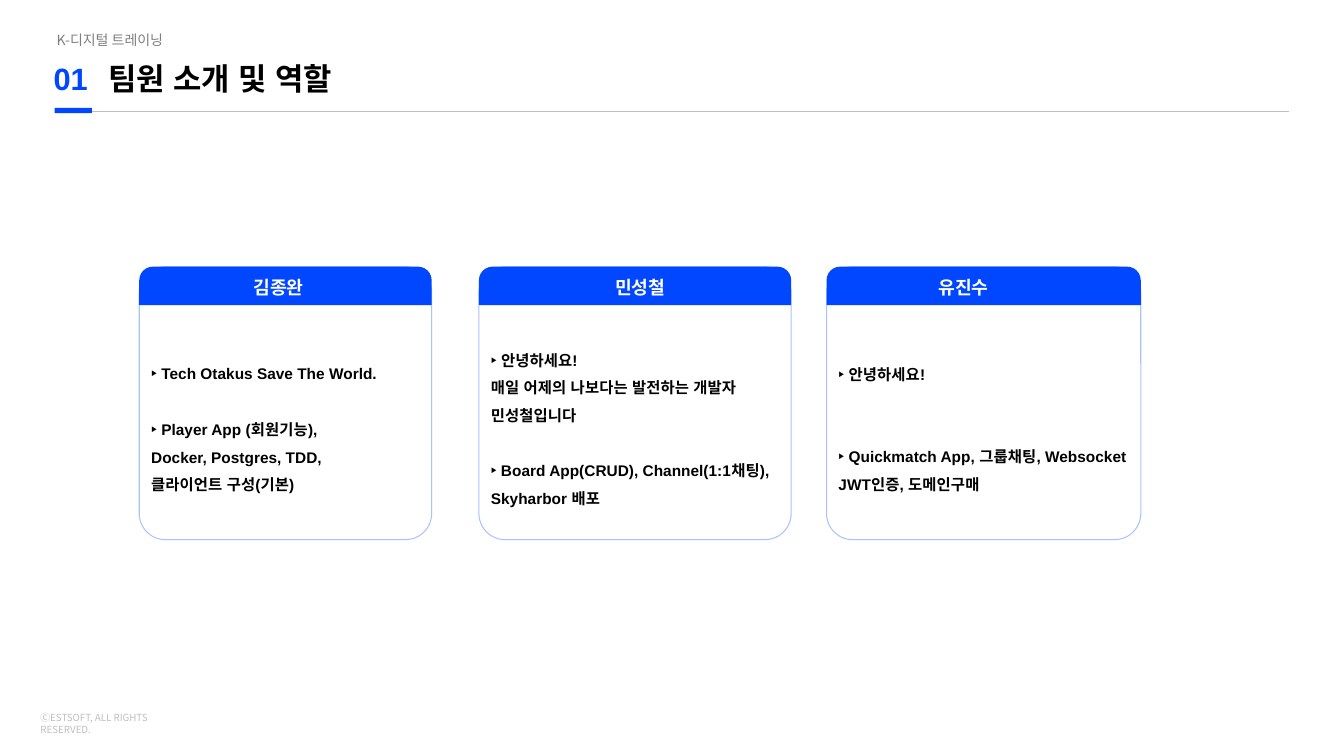
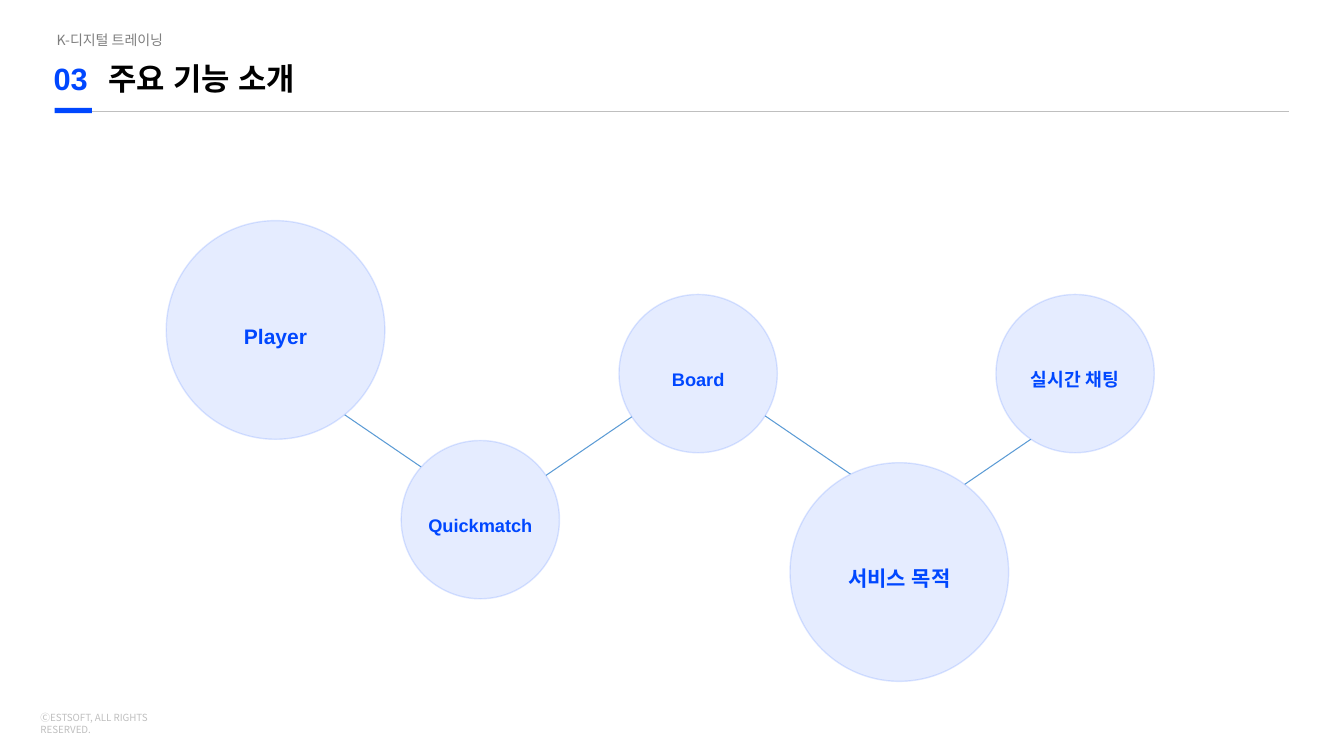
from lxml import etree
from pptx import Presentation
from pptx.dml.color import RGBColor
from pptx.enum.shapes import MSO_CONNECTOR, MSO_SHAPE
from pptx.enum.text import MSO_ANCHOR, MSO_AUTO_SIZE, PP_ALIGN
from pptx.oxml.ns import qn
from pptx.util import Cm, Pt

LEFT, CENTER = PP_ALIGN.LEFT, PP_ALIGN.CENTER
TOP, MIDDLE = MSO_ANCHOR.TOP, MSO_ANCHOR.MIDDLE
RECT, OVAL = MSO_SHAPE.RECTANGLE, MSO_SHAPE.OVAL
ROUND, ROUND_TOP = MSO_SHAPE.ROUNDED_RECTANGLE, MSO_SHAPE.ROUND_2_SAME_RECTANGLE
STRAIGHT = MSO_CONNECTOR.STRAIGHT
NO_AUTOFIT = MSO_AUTO_SIZE.NONE

COLORS = {
    "blue": "0047FF", "pale": "E5ECFF", "link": "5B9BD5", "black": "000000",
    "white": "FFFFFF", "label": "7F7F7F", "light": "BFBFBF",
}
HEAD_FONT, KOREAN_FONT = "Arial", "Noto Sans CJK KR"
COMPARISON_LAYOUT, TITLE_LAYOUT = 4, 5
BLANK_LINE = 19.7  # points, one line of card text
NBSP = chr(160)  # keeps words on one line

CARD_TOP, CARD_HEIGHT, CARD_HEAD = 6.72, 6.88, 0.97
NAME_WIDTH = 4.6
# left, width, centre of the name, name, [(line, blank lines before it)]
CARDS = [
    (3.51, 7.37, 7.02, "김종완", [
        ("‣ Tech Otakus Save The World.", 0),
        (f"‣ Player App (회원기능), Docker,{NBSP}Postgres,{NBSP}TDD, "
         f"클라이언트{NBSP}구성(기본)", 1)]),
    (12.07, 7.87, 16.13, "민성철", [
        ("‣ 안녕하세요!", 0),
        ("매일 어제의 나보다는 발전하는 개발자 민성철입니다", 0),
        ("‣ Board App(CRUD), Channel(1:1채팅), Skyharbor 배포", 1)]),
    (20.83, 7.92, 24.28, "유진수", [
        ("‣ 안녕하세요!", 0),
        ("‣ Quickmatch App, 그룹채팅, Websocket JWT인증, 도메인구매", 2)]),
]

LARGE, SMALL = (5.51, 15), (3.99, 13)  # diameter, text size
FEATURES = [
    (4.19, 5.56, LARGE, "Player"),
    (10.11, 11.1, SMALL, "Quickmatch"),
    (15.6, 7.42, SMALL, "Board"),
    (19.91, 11.66, LARGE, "서비스 목적"),
    (25.1, 7.42, SMALL, "실시간 채팅"),
]
LINK_STARTS = [(7.32, 9.52), (12.22, 13.03), (17.7, 9.4), (22.81, 13.23)]
LINK_RUN, LINK_RISE = 5.1, 3.48


def rgb(name):
    return RGBColor.from_string(COLORS[name])


def place(shape, left, top, width, height):
    shape.left, shape.top = Cm(left), Cm(top)
    shape.width, shape.height = Cm(width), Cm(height)


def format_frame(frame, anchor):
    frame.auto_size = NO_AUTOFIT
    frame.word_wrap = True
    frame.vertical_anchor = anchor
    frame.margin_left = frame.margin_right = Cm(0.25)
    frame.margin_top = frame.margin_bottom = Cm(0.13)


def format_paragraph(paragraph, size, color, font=HEAD_FONT, bold=True,
                     align=LEFT, spacing=1.0, before=0):
    paragraph.alignment = align
    paragraph.line_spacing = spacing
    paragraph.space_before = Pt(before)
    for run in paragraph.runs:
        run.font.size = Pt(size)
        run.font.bold = bold
        run.font.name = font
        run.font.color.rgb = rgb(color)
        etree.SubElement(run.font._element, qn("a:ea"), typeface=font)


def add_label(slide, box, text, size, color, **style):
    label = slide.shapes.add_textbox(*map(Cm, box))
    format_frame(label.text_frame, TOP)
    label.text_frame.text = text
    format_paragraph(label.text_frame.paragraphs[0], size, color, **style)


def add_panel(slide, kind, box, fill=None, line_width=None, opacity=100):
    """Add a preset shape; opacity is that of its blue outline in percent."""
    panel = slide.shapes.add_shape(kind, *map(Cm, box))
    panel.shadow.inherit = False
    if fill:
        panel.fill.solid()
        panel.fill.fore_color.rgb = rgb(fill)
    else:
        panel.fill.background()
    if line_width:
        panel.line.color.rgb = rgb("blue")
        panel.line.width = Pt(line_width)
        outline = panel.element.find(f".//{qn('a:ln')}//{qn('a:srgbClr')}")
        etree.SubElement(outline, qn("a:alpha"), val=str(opacity * 1000))
    else:
        panel.line.fill.background()
    return panel


def add_line(slide, start, end, color):
    line = slide.shapes.add_connector(STRAIGHT, *map(Cm, (*start, *end)))
    line.line.color.rgb = rgb(color)
    line.line.width = Pt(0.75)
    etree.SubElement(line.element.find(qn("p:spPr")), qn("a:effectLst"))


def add_page(deck, layout, number, heading):
    """Add a slide with the shared header and footer."""
    slide = deck.slides.add_slide(deck.slide_layouts[layout])
    title = slide.shapes.title
    place(title, 2.49, 1.37, 7.14, 1.19)
    format_frame(title.text_frame, TOP)
    title.text_frame.text = heading
    format_paragraph(title.text_frame.paragraphs[0], 22, "black")

    add_label(slide, (0.77, 17.81, 4.5, 0.56), "ⒸESTSOFT, ALL RIGHTS RESERVED.",
              7, "light", font=KOREAN_FONT, bold=False)
    add_label(slide, (1.18, 0.66, 3.48, 0.69), "K-디지털 트레이닝",
              10, "label", font=KOREAN_FONT, bold=False)
    add_label(slide, (1.1, 1.37, 1.47, 1.19), number, 22, "blue")
    add_line(slide, (1.45, 2.8), (32.49, 2.8), "light")
    add_panel(slide, RECT, (1.38, 2.72, 0.94, 0.13), "blue")
    return slide


def fill_card_body(body, left, width, lines):
    place(body, left + 0.05, CARD_TOP + 1.07, width - 0.05, 5.82)
    frame = body.text_frame
    format_frame(frame, MIDDLE)
    frame.text = "\n".join(text for text, _ in lines)
    for paragraph, (_, blanks) in zip(frame.paragraphs, lines):
        properties = paragraph._p.get_or_add_pPr()
        properties.set("marL", "0")
        properties.set("indent", "0")
        etree.SubElement(properties, qn("a:buNone"))
        format_paragraph(paragraph, 11, "black", spacing=1.5,
                         before=blanks * BLANK_LINE)


def add_card(slide, body, left, width, name_center, name, lines):
    card = add_panel(slide, ROUND, (left, CARD_TOP, width, CARD_HEIGHT),
                     line_width=0.75, opacity=32)
    card.adjustments[0] = 0.096
    head = add_panel(slide, ROUND_TOP, (left, CARD_TOP, width, CARD_HEAD), "blue")
    head.adjustments[0] = 0.354
    add_label(slide, (name_center - NAME_WIDTH / 2, 6.83, NAME_WIDTH, 0.81),
              name, 13, "white", align=CENTER)
    fill_card_body(body, left, width, lines)


def add_feature(slide, left, top, scale, text):
    diameter, size = scale
    circle = add_panel(slide, OVAL, (left, top, diameter, diameter), "pale",
                       line_width=1, opacity=13)
    frame = circle.text_frame
    format_frame(frame, MIDDLE)
    frame.margin_left = frame.margin_right = 0
    frame.text = text
    format_paragraph(frame.paragraphs[0], size, "blue", align=CENTER, spacing=1.5)


def add_team_slide(deck):
    slide = add_page(deck, COMPARISON_LAYOUT, "01", "팀원 소개 및 역할")
    _, *bodies = slide.placeholders
    for body, card in zip(bodies, CARDS):
        add_card(slide, body, *card)
    for unused in bodies[len(CARDS):]:
        unused.element.getparent().remove(unused.element)


def add_features_slide(deck):
    slide = add_page(deck, TITLE_LAYOUT, "03", "주요 기능 소개")
    for index, (x, y) in enumerate(LINK_STARTS):
        rise = -LINK_RISE if index % 2 else LINK_RISE
        add_line(slide, (x, y), (x + LINK_RUN, y + rise), "link")
    for feature in FEATURES:
        add_feature(slide, *feature)


def main():
    deck = Presentation()
    deck.slide_width, deck.slide_height = Cm(33.87), Cm(19.05)
    add_team_slide(deck)
    add_features_slide(deck)
    deck.save("out.pptx")


if __name__ == "__main__":
    main()
